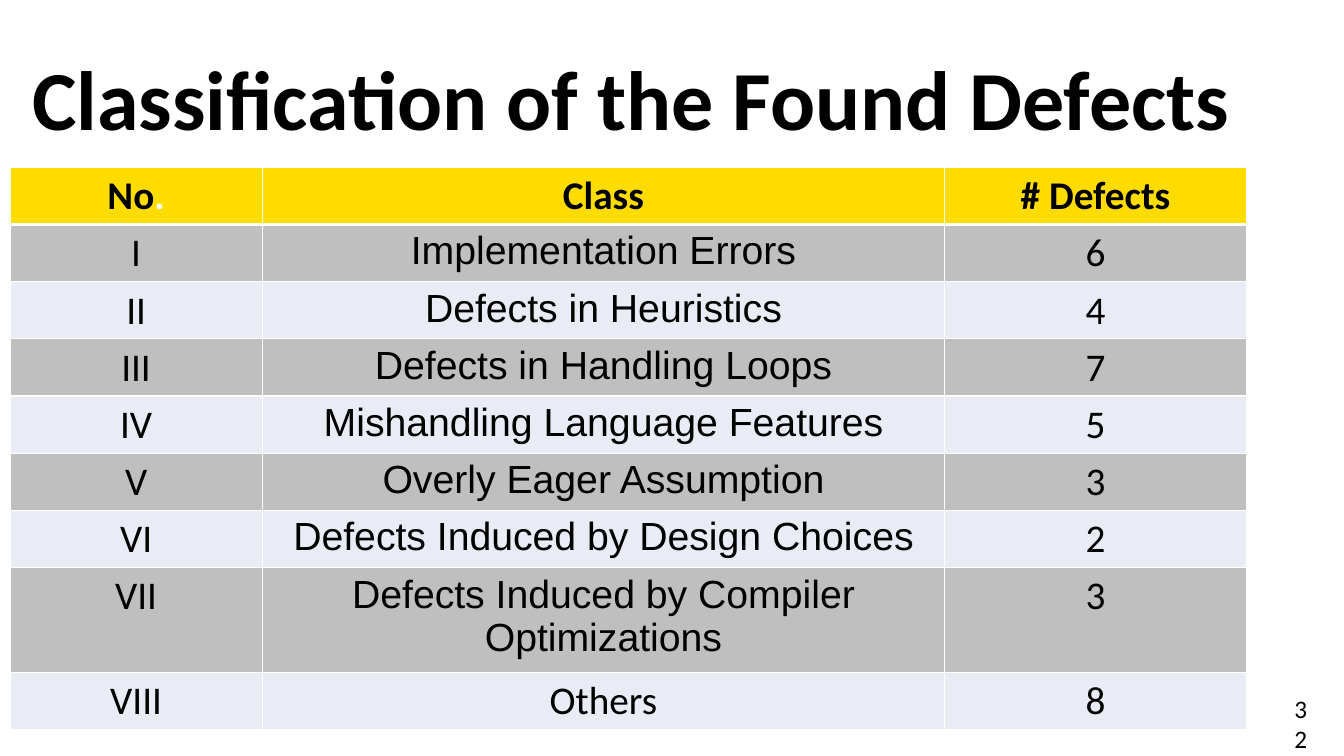
import pptx
import pptx.dml.color
import pptx.enum.text
import pptx.oxml
import pptx.oxml.ns
import pptx.util
from pptx.util import Inches

COLORS = {
    "text": "000000",
    "white": "FFFFFF",
    "header": "FFDC00",
    "odd": "BFBFBF",
    "even": "E9EBF5",
}
HEADINGS = ["No.", "Class", "# Defects"]
DEFECTS = [
    ("I", "Implementation Errors", 6),
    ("II", "Defects in Heuristics", 4),
    ("III", "Defects in Handling Loops", 7),
    ("IV", "Mishandling Language Features", 5),
    ("V", "Overly Eager Assumption", 3),
    ("VI", "Defects Induced by Design Choices", 2),
    ("VII", "Defects Induced by Compiler Optimizations", 3),
    ("VIII", "Others", 8),
]
COLUMN_WIDTHS = [2.5, 6.77, 2.99]
HEADER_HEIGHT, ROW_HEIGHT, TWO_LINE_HEIGHT = 0.52, 0.53, 1.04
CENTER = pptx.enum.text.PP_ALIGN.CENTER


def rgb(name):
    return pptx.dml.color.RGBColor.from_string(COLORS[name])


def add_text(paragraph, text, size=28, font="Calibri", color="text", bold=False):
    run = paragraph.add_run()
    run.text = text
    run.font.size = pptx.util.Pt(size)
    run.font.name = font
    run.font.bold = bold
    run.font.color.rgb = rgb(color)


def set_borders(cell, top=1, bottom=1):
    """Draw white cell borders; widths are in points."""
    properties = cell._tc.get_or_add_tcPr()
    widths = {"lnL": 1, "lnR": 1, "lnT": top, "lnB": bottom}
    for index, (tag, width) in enumerate(widths.items()):
        line = pptx.oxml.parse_xml(
            f'<a:{tag} {pptx.oxml.ns.nsdecls("a")} w="{pptx.util.Pt(width)}">'
            f'<a:solidFill><a:srgbClr val="{COLORS["white"]}"/></a:solidFill></a:{tag}>'
        )
        properties.insert(index, line)


class SlideBuilder:
    def __init__(self, presentation):
        self.slide = presentation.slides.add_slide(presentation.slide_layouts[6])

    def text_box(self, left, top, width, height, text, inset=None, line_spacing=None, **text_format):
        shape = self.slide.shapes.add_textbox(Inches(left), Inches(top), Inches(width), Inches(height))
        frame = shape.text_frame
        frame.word_wrap = True
        if inset is not None:
            frame.margin_left = frame.margin_right = Inches(inset)
            frame.margin_top = frame.margin_bottom = Inches(inset)
        paragraph = frame.paragraphs[0]
        if line_spacing:
            paragraph.line_spacing = line_spacing
        add_text(paragraph, text, **text_format)

    def cell(self, cell, pieces, fill, top=1, bottom=1):
        """Fill a cell with centred pieces, each a text and its format."""
        cell.fill.solid()
        cell.fill.fore_color.rgb = rgb(fill)
        set_borders(cell, top, bottom)
        paragraph = cell.text_frame.paragraphs[0]
        paragraph.alignment = CENTER
        for text, text_format in pieces:
            add_text(paragraph, text, **text_format)

    def defect_table(self, left, top):
        heights = [HEADER_HEIGHT] + [
            TWO_LINE_HEIGHT if number == "VII" else ROW_HEIGHT for number, _, _ in DEFECTS
        ]
        table = self.slide.shapes.add_table(
            len(heights), len(COLUMN_WIDTHS), Inches(left), Inches(top),
            Inches(sum(COLUMN_WIDTHS)), Inches(sum(heights)),
        ).table
        for column, width in zip(table.columns, COLUMN_WIDTHS):
            column.width = Inches(width)
        for row, height in zip(table.rows, heights):
            row.height = Inches(height)

        for column, heading in enumerate(HEADINGS):
            pieces = [(heading.rstrip("."), {"bold": True})]
            if heading.endswith("."):
                pieces.append((".", {"bold": True, "color": "white"}))
            self.cell(table.cell(0, column), pieces, "header", bottom=3)

        for row, defect in enumerate(DEFECTS, start=1):
            fill = "odd" if row % 2 else "even"
            for column, value in enumerate(defect):
                arial = column == 1 and value != "Others"
                pieces = [(str(value), {"font": "Arial" if arial else "Calibri"})]
                self.cell(table.cell(row, column), pieces, fill, top=3 if row == 1 else 1)


def main():
    presentation = pptx.Presentation()
    presentation.slide_width = Inches(13.33)
    presentation.slide_height = Inches(7.5)
    builder = SlideBuilder(presentation)
    builder.text_box(0.32, 0.57, 12.25, 1.19, "Classification of the Found Defects",
                     inset=0, line_spacing=0.9, size=60, bold=True)
    builder.text_box(12.74, 6.83, 0.33, 0.4, "32", size=18)
    builder.defect_table(0.1, 1.66)
    presentation.save("out.pptx")


if __name__ == "__main__":
    main()
